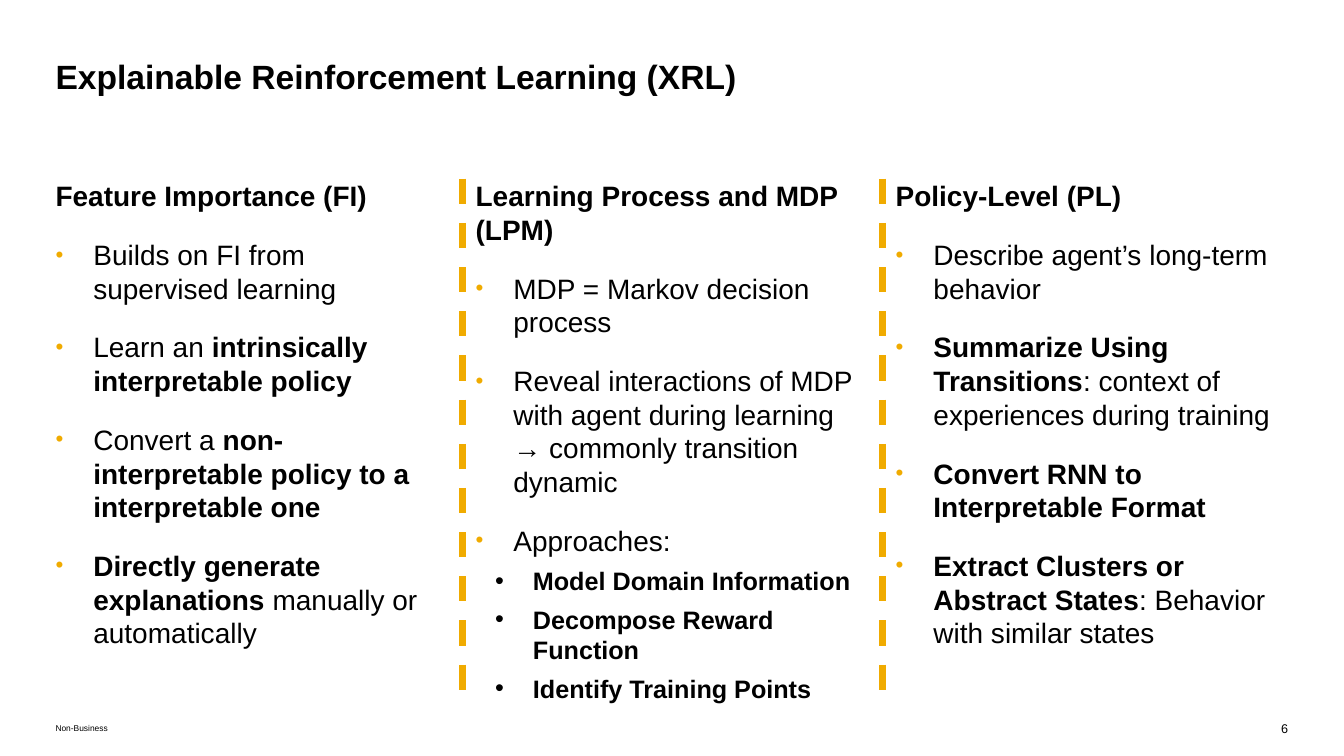
from lxml import etree
from pptx import Presentation
from pptx.dml.color import RGBColor
from pptx.enum.dml import MSO_LINE
from pptx.enum.shapes import MSO_CONNECTOR
from pptx.enum.text import MSO_ANCHOR, PP_ALIGN
from pptx.oxml.ns import qn
from pptx.util import Pt

STRAIGHT = MSO_CONNECTOR.STRAIGHT
DASH = MSO_LINE.DASH
TOP, MIDDLE = MSO_ANCHOR.TOP, MSO_ANCHOR.MIDDLE
LEFT, RIGHT = PP_ALIGN.LEFT, PP_ALIGN.RIGHT

BLACK, GOLD = "000000", "F0AB00"
FONT = "Arial"

# Text between ** marks is bold.
TITLE = "**Explainable Reinforcement Learning (XRL)**"
FOOTER = "Non-Business"
PAGE_NUMBER = "6"
COLUMNS = [
    [
        ("heading", "**Feature Importance (FI)**"),
        ("bullet", "Builds on FI from supervised learning"),
        ("bullet", "Learn an **intrinsically interpretable policy**"),
        ("bullet", "Convert a **non-interpretable policy to a interpretable one**"),
        ("bullet", "**Directly generate explanations** manually or automatically"),
    ],
    [
        ("heading", "**Learning Process and MDP (LPM)**"),
        ("bullet", "MDP = Markov decision process"),
        ("bullet", "Reveal interactions of MDP with agent during learning\n"
                   "→ commonly transition dynamic"),
        ("bullet", "Approaches:"),
        ("sub", "**Model Domain Information**"),
        ("sub", "**Decompose Reward Function**"),
        ("sub", "**Identify Training Points**"),
    ],
    [
        ("heading", "**Policy-Level (PL)**"),
        ("bullet", "Describe agent’s long-term behavior"),
        ("bullet", "**Summarize Using Transitions**: context of experiences during training"),
        ("bullet", "**Convert RNN to Interpretable Format**"),
        ("bullet", "**Extract Clusters or Abstract States**: Behavior with similar states"),
    ],
]

# Each style: font size, paragraph format, bullet (indent, colour, size in percent)
STYLES = {
    "title": (24, {}, None),
    "footer": (6, {"space_before": Pt(18)}, None),
    "page": (9, {"alignment": RIGHT}, None),
    "heading": (20, {"space_before": Pt(18)}, None),
    "bullet": (20, {"space_before": Pt(18)}, (27, GOLD, 80)),
    "sub": (18, {"space_before": Pt(6), "level": 1}, (41, BLACK, 100)),
}

SLIDE_WIDTH, SLIDE_HEIGHT = 960.48, 540
MARGIN = 39.7
COLUMN_TOP, COLUMN_WIDTH, COLUMN_HEIGHT = 127.7, 280.8, 371.5
COLUMN_PITCH = 300.2
HANGING = 27
DIVIDER_OFFSET, DIVIDER_BOTTOM = 9.4, 496.4


def rgb(color):
    return RGBColor.from_string(color)


def add_bullet(paragraph, indent, color, percent):
    properties = paragraph._p.get_or_add_pPr()
    properties.set("marL", str(Pt(indent)))
    properties.set("indent", str(-Pt(HANGING)))
    bullet_color = etree.SubElement(properties, qn("a:buClr"))
    etree.SubElement(bullet_color, qn("a:srgbClr"), val=color)
    etree.SubElement(properties, qn("a:buSzPct"), val=str(percent * 1000))
    etree.SubElement(properties, qn("a:buFont"), typeface=FONT)
    etree.SubElement(properties, qn("a:buChar"), char="•")


def add_runs(paragraph, text, size):
    """Add text with ** toggling bold and a newline breaking the line."""
    for index, part in enumerate(text.split("**")):
        for line_index, line in enumerate(part.split("\n")):
            if line_index:
                paragraph.add_line_break()
            if line:
                run = paragraph.add_run()
                run.text = line
                run.font.color.rgb = rgb(BLACK)
                formats = {"name": FONT, "size": Pt(size), "bold": index % 2 == 1}
                for name, value in formats.items():
                    setattr(run.font, name, value)


def add_text(slide, box, paragraphs, anchor=TOP):
    shape = slide.shapes.add_textbox(*map(Pt, box))
    frame = shape.text_frame
    formats = {"word_wrap": True, "vertical_anchor": anchor, "margin_left": 0,
               "margin_right": 0, "margin_top": 0, "margin_bottom": 0}
    for name, value in formats.items():
        setattr(frame, name, value)
    for index, (style, text) in enumerate(paragraphs):
        paragraph = frame.add_paragraph() if index else frame.paragraphs[0]
        size, paragraph_format, bullet = STYLES[style]
        for name, value in {"alignment": LEFT, **paragraph_format}.items():
            setattr(paragraph, name, value)
        if bullet:
            add_bullet(paragraph, *bullet)
        add_runs(paragraph, text, size)


def add_divider(slide, x):
    divider = slide.shapes.add_connector(
        STRAIGHT, Pt(x), Pt(COLUMN_TOP), Pt(x), Pt(DIVIDER_BOTTOM))
    divider.line.color.rgb = rgb(GOLD)
    divider.line.width = Pt(4.5)
    divider.line.dash_style = DASH
    etree.SubElement(divider._element.spPr, qn("a:effectLst"))


def main():
    presentation = Presentation()
    presentation.slide_width = Pt(SLIDE_WIDTH)
    presentation.slide_height = Pt(SLIDE_HEIGHT)
    slide = presentation.slides.add_slide(presentation.slide_layouts[6])

    add_text(slide, (MARGIN, MARGIN, 880.6, 28.8), [("title", TITLE)])
    for index, paragraphs in enumerate(COLUMNS):
        left = MARGIN + index * COLUMN_PITCH
        add_text(slide, (left, COLUMN_TOP, COLUMN_WIDTH, COLUMN_HEIGHT), paragraphs)
        if index:
            add_divider(slide, left - DIVIDER_OFFSET)
    add_text(slide, (MARGIN, 514.8, 800, 10.8), [("footer", FOOTER)], MIDDLE)
    add_text(slide, (909.7, 514.8, 10.8, 10.8), [("page", PAGE_NUMBER)])

    presentation.save("out.pptx")


if __name__ == "__main__":
    main()
